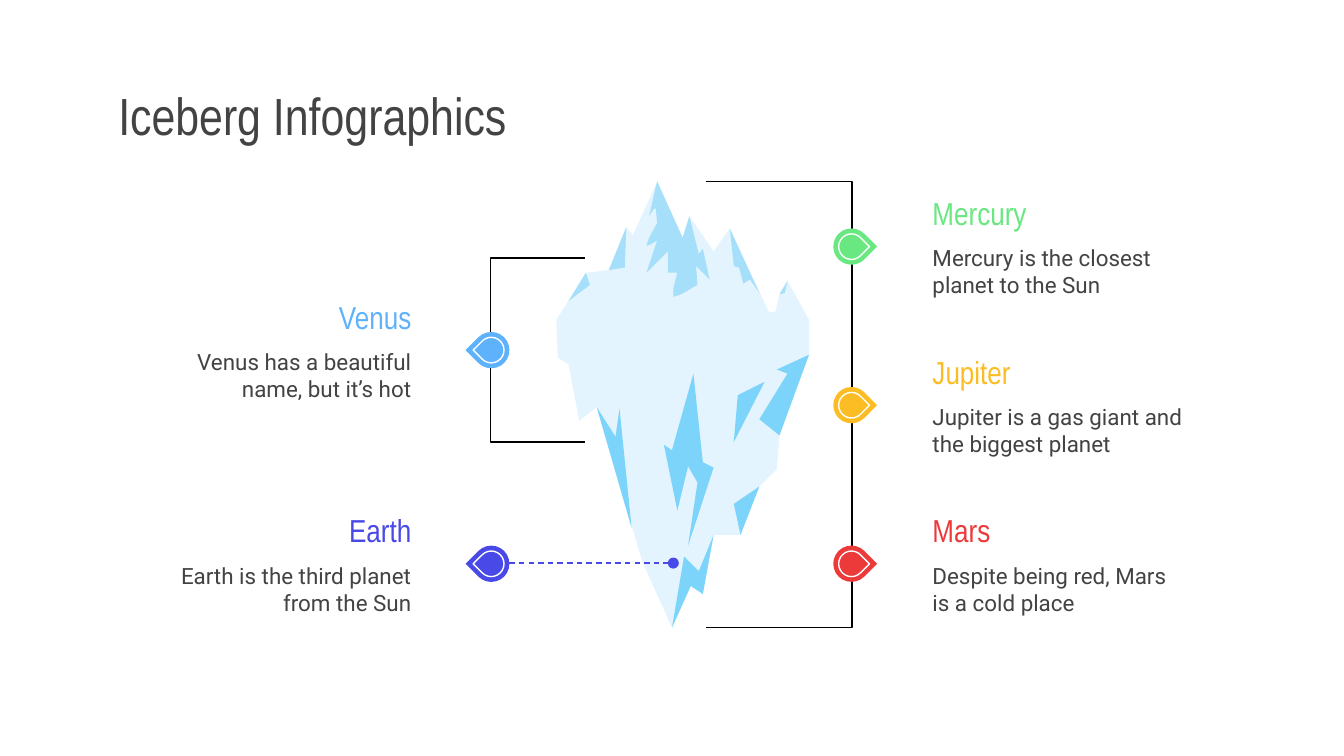
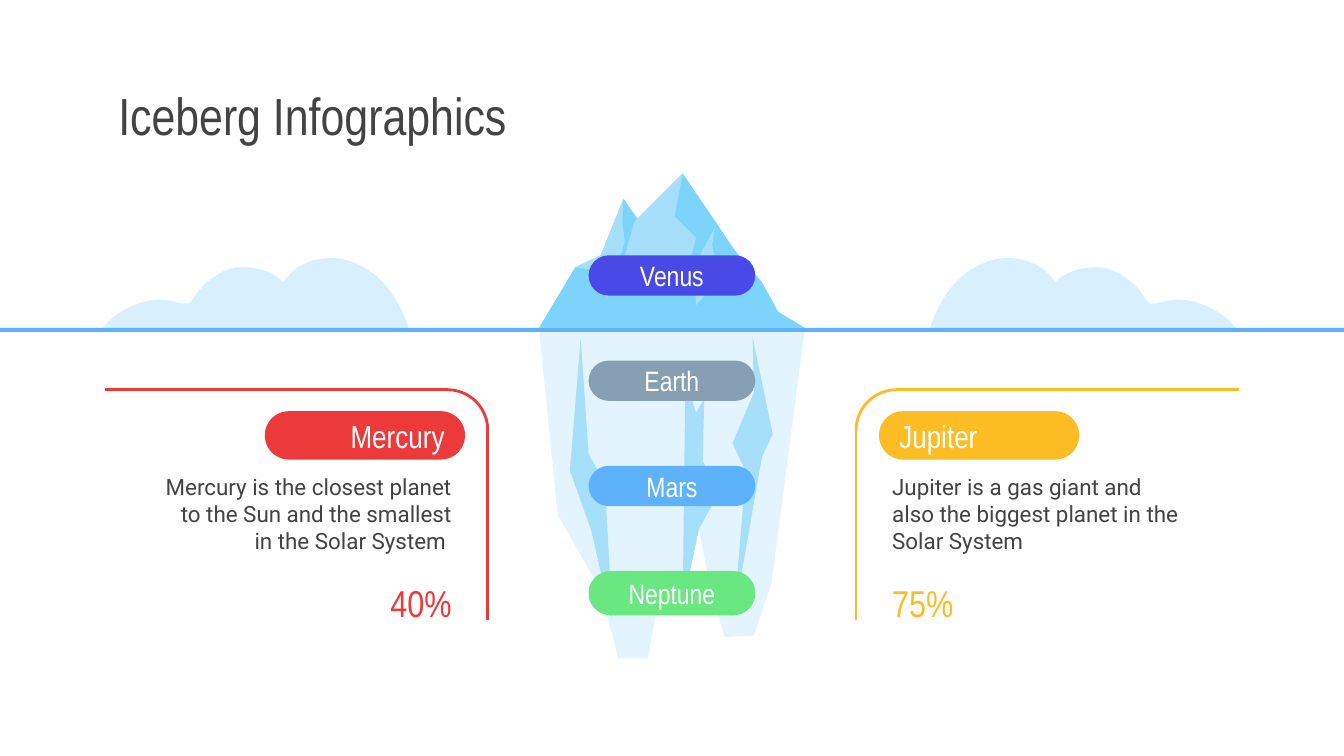
from lxml import etree
from pptx import Presentation
from pptx import util as u
from pptx.dml.color import RGBColor
from pptx.enum import dml, shapes, text
from pptx.oxml import ns

THEME = {
    "ink": "434343", "black": "000000", "white": "FFFFFF",
    "red": "EC3A3B", "yellow": "FCBD24", "green": "69E781",
    "blue": "5EB2FC", "indigo": "4949E7", "slate": "869FB2",
    "pale ice": "E3F4FE", "light ice": "A5DFF9", "deep ice": "7CD4FB", "cloud": "D8EFFE",
    "heading font": "Arial Narrow", "body font": "Roboto",
    "title size": 28, "figure size": 20, "heading size": 17, "pill size": 15, "body size": 12,
    "thin": 0.75, "thick": 1.5,
}
FRAME = {
    "word_wrap": True, "auto_size": text.MSO_AUTO_SIZE.NONE,
    "margin_left": u.Inches(0.1), "margin_right": u.Inches(0.1),
    "margin_top": u.Inches(0.1), "margin_bottom": u.Inches(0.1),
}
LEFT, CENTER, RIGHT = text.PP_ALIGN.LEFT, text.PP_ALIGN.CENTER, text.PP_ALIGN.RIGHT
MIDDLE, TOP = text.MSO_ANCHOR.MIDDLE, text.MSO_ANCHOR.TOP
SHAPE = shapes.MSO_SHAPE
TITLE = "Iceberg Infographics"

# Slide 1: heading, description, colour, side, top
PLANETS = [
    ("Venus", "Venus has a beautiful name, but it’s hot", "blue", "left", 2.12),
    ("Mercury", "Mercury is the closest planet to the Sun", "green", "right", 1.35),
    ("Jupiter", "Jupiter is a gas giant and the biggest planet", "yellow", "right", 2.53),
    ("Mars", "Despite being red, Mars is a cold place", "red", "right", 3.71),
    ("Earth", "Earth is the third planet from the Sun", "indigo", "left", 3.71),
]
# Text left, pin left, pin rotation, alignment
PLANET_SIDES = {"left": (1.1, 3.52, 225, RIGHT), "right": (6.84, 6.2, 45, LEFT)}
BRACKETS = [
    [(5.25, 1.35), (6.34, 1.35), (6.34, 4.67), (5.25, 4.67)],
    [(4.35, 1.92), (3.65, 1.92), (3.65, 3.29), (4.35, 3.29)],
]
TALL_ICEBERG = [
    ("pale ice", [
        (4.89, 1.35), (4.71, 1.75), (4.66, 1.69), (4.53, 2.01), (4.36, 2.03), (4.14, 2.38),
        (4.15, 2.66), (4.23, 2.71), (4.31, 3.13), (4.44, 3.03), (4.78, 4.18), (5, 4.67),
        (5.14, 4.36), (5.23, 4.42), (5.31, 3.98), (5.51, 3.98), (5.65, 3.62), (5.78, 3.49),
        (5.8, 3.24), (6.02, 2.64), (6.02, 2.38), (5.86, 2.09), (5.8, 2.19), (5.77, 2.32),
        (5.72, 2.32), (5.43, 1.7), (5.31, 1.87), (5.13, 1.61), (5.08, 1.77)]),
    ("light ice", [(4.66, 1.69), (4.53, 2.01), (4.65, 1.99)]),
    ("light ice", [
        (4.89, 1.35), (4.83, 1.61), (4.86, 1.56), (4.88, 1.55), (4.89, 1.66), (4.83, 1.77),
        (4.81, 1.83), (4.84, 1.82), (4.89, 1.79), (4.81, 2.03), (4.97, 1.87), (4.97, 2.03),
        (5.04, 2.03), (5.01, 2.15), (5.01, 2.21), (5.07, 2.19), (5.19, 2.12), (5.18, 1.98),
        (5.28, 2.08), (5.23, 1.85), (5.2, 1.89), (5.13, 1.61), (5.08, 1.77)]),
    ("light ice", [(5.43, 1.7), (5.46, 1.98), (5.5, 1.99), (5.53, 2.11), (5.58, 2.08),
                   (5.65, 2.18)]),
    ("light ice", [(5.86, 2.09), (5.8, 2.19), (5.84, 2.18)]),
    ("light ice", [(4.36, 2.03), (4.23, 2.24), (4.39, 2.12)]),
    ("deep ice", [(5.31, 3.98), (5.2, 4.25), (5.09, 4.14), (5, 4.67), (5.14, 4.36),
                  (5.23, 4.42)]),
    ("deep ice", [(5.65, 3.62), (5.46, 3.75), (5.51, 3.98)]),
    ("deep ice", [(5.16, 2.78), (5, 3.35), (4.94, 3.31), (5.04, 3.8), (5.12, 3.47),
                  (5.19, 3.59), (5.12, 4.06), (5.31, 3.48), (5.23, 3.44)]),
    ("deep ice", [(4.44, 3.03), (4.7, 3.93), (4.61, 3.04), (4.58, 3.25)]),
    ("deep ice", [(6.02, 2.64), (5.78, 2.75), (5.86, 2.78), (5.65, 3.12), (5.8, 3.24)]),
    ("deep ice", [(5.69, 2.84), (5.49, 2.94), (5.46, 3.29)]),
]

# Slide 2
PILLS = [  # label, colour, height
    ("Venus", "indigo", 0.3), ("Earth", "slate", 0.3),
    ("Mars", "blue", 0.3), ("Neptune", "green", 0.33),
]
PANELS = [
    {"name": "Mercury", "figure": "40%", "color": "red", "align": RIGHT,
     "body": "Mercury is the closest planet to the Sun and the smallest in the Solar System ",
     "pill": 1.97, "text": 1.09, "arc": 3.03, "turn": 0, "edge": 3.63, "outer": 0.78},
    {"name": "Jupiter", "figure": "75%", "color": "yellow", "align": LEFT,
     "body": "Jupiter is a gas giant and also the biggest planet in the Solar System",
     "pill": 6.54, "text": 6.54, "arc": 6.37, "turn": 270, "edge": 6.37, "outer": 9.22},
]
CLOUD_START = (3.05, 2.47)
CLOUD_CURVES = [  # two control points and an end point
    ((2.99, 2.27), (2.87, 2.06), (2.67, 1.97)),
    ((2.61, 1.94), (2.54, 1.92), (2.46, 1.92)),
    ((2.32, 1.92), (2.18, 1.98), (2.11, 2.1)),
    ((2.04, 2.03), (1.93, 1.99), (1.83, 1.99)),
    ((1.81, 1.99), (1.79, 1.99), (1.76, 1.99)),
    ((1.64, 2.01), (1.53, 2.09), (1.46, 2.19)),
    ((1.44, 2.22), (1.42, 2.25), (1.4, 2.26)),
    ((1.39, 2.26), (1.38, 2.26), (1.37, 2.26)),
    ((1.35, 2.26), (1.33, 2.25), (1.32, 2.25)),
    ((1.28, 2.24), (1.24, 2.23), (1.19, 2.23)),
    ((1.02, 2.23), (0.84, 2.33), (0.74, 2.47)),
]
CLOUD_MIRROR = 9.96
FLOATING_ICEBERG = [
    ("deep ice", [(4.64, 1.48), (4.47, 1.9), (4.28, 1.99), (4.01, 2.44), (5.32, 2.44),
                  (5.12, 2.29), (5, 2)]),
    ("deep ice", [(5.32, 1.69), (5.15, 2.01), (4.96, 2.09), (4.68, 2.44), (5.99, 2.44),
                  (5.79, 2.32), (5.67, 2.1)]),
    ("deep ice", [(5.08, 1.29), (4.72, 1.65), (4.65, 1.9), (4.33, 2.44), (5.87, 2.44),
                  (5.64, 2.25), (5.5, 1.91)]),
    ("pale ice", [(4.01, 2.44), (4.15, 3.83), (4.47, 4.39), (4.6, 4.9), (4.82, 4.9),
                  (4.89, 4.5), (5.08, 4.51), (5.2, 3.94), (5.29, 4.39), (5.39, 4.74),
                  (5.61, 4.73), (5.74, 4.34), (5.99, 2.44)]),
    ("light ice", [(5.08, 1.29), (4.72, 1.65), (4.65, 1.9), (4.91, 1.94), (4.92, 2.17),
                   (5.17, 2.06), (5.13, 1.95), (5.18, 1.77), (5.02, 1.61)]),
    ("light ice", [(4.64, 1.48), (4.47, 1.9), (4.28, 1.99), (4.5, 2.02), (4.51, 2.22),
                   (4.64, 2.04), (4.6, 1.95), (4.65, 1.8), (4.63, 1.65)]),
    ("light ice", [(5.32, 1.69), (5.15, 2.01), (4.96, 2.09), (5.17, 2.11), (5.18, 2.27),
                   (5.31, 2.13), (5.28, 2.05), (5.32, 1.94), (5.3, 1.82)]),
    ("light ice", [(4.32, 2.52), (4.24, 3.5), (4.4, 3.95), (4.55, 4.61), (4.54, 4.3),
                   (4.5, 3.59), (4.38, 3.38)]),
    ("light ice", [(5.6, 2.51), (5.61, 2.92), (5.45, 3.3), (5.55, 3.51), (5.46, 4.6),
                   (5.67, 3.4), (5.75, 3.23)]),
    ("light ice", [(5.1, 2.82), (5.08, 4.51), (5.2, 3.94), (5.44, 3.5), (5.29, 3.56),
                   (5.23, 3.43), (5.24, 2.97), (5.18, 3.07)]),
]


def rgb(color):
    return RGBColor.from_string(THEME[color])


def inches(*lengths):
    return [u.Inches(length) for length in lengths]


def write(shape, words, kind, color, align=LEFT, anchor=MIDDLE):
    """Fill a shape with one paragraph; kind picks the type size and font."""
    frame = shape.text_frame
    for name, value in {**FRAME, "vertical_anchor": anchor}.items():
        setattr(frame, name, value)
    paragraph = frame.paragraphs[0]
    paragraph.alignment = align
    run = paragraph.add_run()
    run.text = words
    run.font.name = THEME["body font" if kind == "body" else "heading font"]
    run.font.size = u.Pt(THEME[f"{kind} size"])
    run.font.color.rgb = rgb(color)


def add_text(slide, box, *content):
    write(slide.shapes.add_textbox(*inches(*box)), *content)


def paint(shape, fill=None, line=None, width="thin"):
    shape.shadow.inherit = False
    if fill:
        shape.fill.solid()
        shape.fill.fore_color.rgb = rgb(fill)
    else:
        shape.fill.background()
    if line:
        shape.line.color.rgb = rgb(line)
        shape.line.width = u.Pt(THEME[width])
    else:
        shape.line.fill.background()


def add_shape(slide, preset, box, rotation=0, **look):
    shape = slide.shapes.add_shape(preset, *inches(*box))
    shape.rotation = rotation
    paint(shape, **look)
    return shape


def add_pill(slide, box, fill, words, kind, align):
    pill = add_shape(slide, SHAPE.ROUNDED_RECTANGLE, box, fill=fill)
    pill.adjustments[0] = 0.5
    write(pill, words, kind, "white", align)


def add_outline(slide, points, close=True, **look):
    start, *rest = [inches(*point) for point in points]
    builder = slide.shapes.build_freeform(*start)
    builder.add_line_segments(rest, close=close)
    paint(builder.convert_to_shape(), **look)


def add_line(slide, start, end, color, width):
    line = slide.shapes.add_connector(shapes.MSO_CONNECTOR.STRAIGHT, *inches(*start, *end))
    line.line.color.rgb = rgb(color)
    line.line.width = u.Pt(THEME[width])
    etree.SubElement(line._element.spPr, ns.qn("a:effectLst"))
    return line


def add_titled_slide(presentation):
    slide = presentation.slides.add_slide(presentation.slide_layouts[5])
    title = slide.shapes.title
    title.left, title.top, title.width, title.height = inches(0.78, 0.59, 8.45, 0.53)
    write(title, TITLE, "title", "ink")
    return slide


def add_planet(slide, name, body, color, side, top):
    text_left, pin_left, rotation, align = PLANET_SIDES[side]
    add_text(slide, (text_left, top, 2.06, 0.47), name, "heading", color, align)
    add_text(slide, (text_left, top + 0.38, 2.06, 0.58), body, "body", "ink", align)
    add_pin(slide, pin_left, top + 0.35, 0.27, rotation, fill=color)
    add_pin(slide, pin_left + 0.04, top + 0.39, 0.19, rotation, line="white")


def add_pin(slide, left, top, size, rotation, **look):
    pin = add_shape(slide, SHAPE.TEAR, (left, top, size, size), rotation, **look)
    pin.adjustments[0] = 1


def cloud_points(steps=8):
    """Sample the cloud's cubic curves into short straight edges."""
    points = [CLOUD_START]
    for first, second, end in CLOUD_CURVES:
        start = points[-1]
        for step in range(1, steps + 1):
            t = step / steps
            weights = ((1 - t) ** 3, 3 * t * (1 - t) ** 2, 3 * t * t * (1 - t), t ** 3)
            corners = zip(*(start, first, second, end))
            points.append(tuple(sum(w * c for w, c in zip(weights, axis)) for axis in corners))
    return points


def add_panel(slide, panel):
    color, align, edge = panel["color"], panel["align"], panel["edge"]
    arc_left, top, size = panel["arc"], 2.9, 0.6
    add_shape(slide, SHAPE.ARC, (arc_left, top, size, size), panel["turn"],
              line=color, width="thick")
    add_line(slide, (arc_left + size / 2, top), (panel["outer"], top), color, "thick")
    add_line(slide, (edge, 3.19), (edge, 4.61), color, "thick")
    add_pill(slide, (panel["pill"], 3.06, 1.49, 0.36), color, panel["name"], "heading", align)
    add_text(slide, (panel["text"], 3.42, 2.37, 0.84), panel["body"], "body", "ink", align, TOP)
    add_text(slide, (panel["text"], 4.27, 2.37, 0.42), panel["figure"], "figure", color, align)


def build_planet_slide(presentation):
    slide = add_titled_slide(presentation)
    for color, points in TALL_ICEBERG:
        add_outline(slide, points, fill=color)
    for points in BRACKETS:
        add_outline(slide, points, close=False, line="black")
    for planet in PLANETS:
        add_planet(slide, *planet)
    pointer = add_line(slide, (3.79, 4.19), (5.01, 4.19), "indigo", "thin")
    pointer.line.dash_style = dml.MSO_LINE.DASH
    etree.SubElement(pointer.line._get_or_add_ln(), ns.qn("a:tailEnd"), type="oval")


def build_waterline_slide(presentation):
    slide = add_titled_slide(presentation)
    cloud = cloud_points()
    add_outline(slide, cloud, fill="cloud")
    add_outline(slide, [(CLOUD_MIRROR - x, y) for x, y in cloud], fill="cloud")
    for color, points in FLOATING_ICEBERG:
        add_outline(slide, points, fill=color)
    for panel in PANELS:
        add_panel(slide, panel)
    for row, (name, color, height) in enumerate(PILLS):
        add_pill(slide, (4.38, 1.9 + row * 0.783, 1.24, height), color, name, "pill", CENTER)
    add_shape(slide, SHAPE.RECTANGLE, (0, 2.44, 10, 0.03), fill="blue")


def main():
    presentation = Presentation()
    presentation.slide_width, presentation.slide_height = inches(10, 5.625)
    build_planet_slide(presentation)
    build_waterline_slide(presentation)
    presentation.save("out.pptx")


if __name__ == "__main__":
    main()
